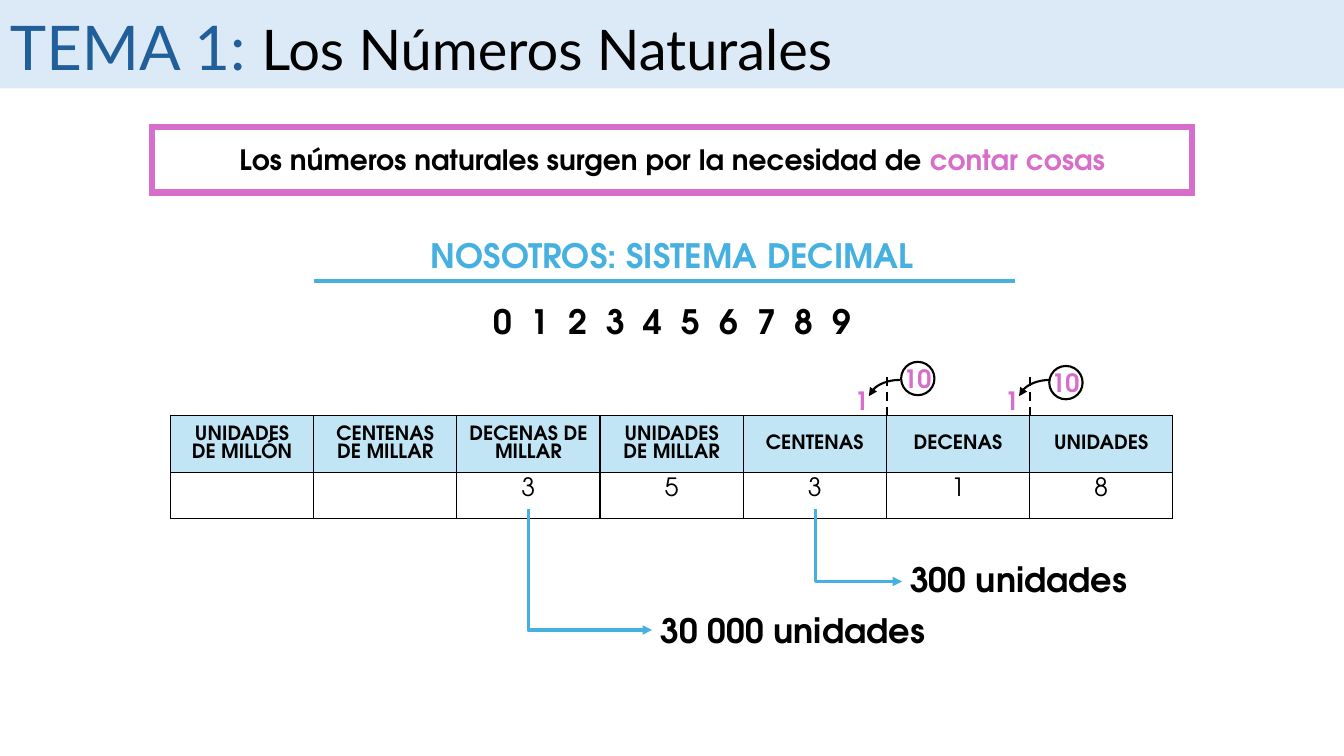
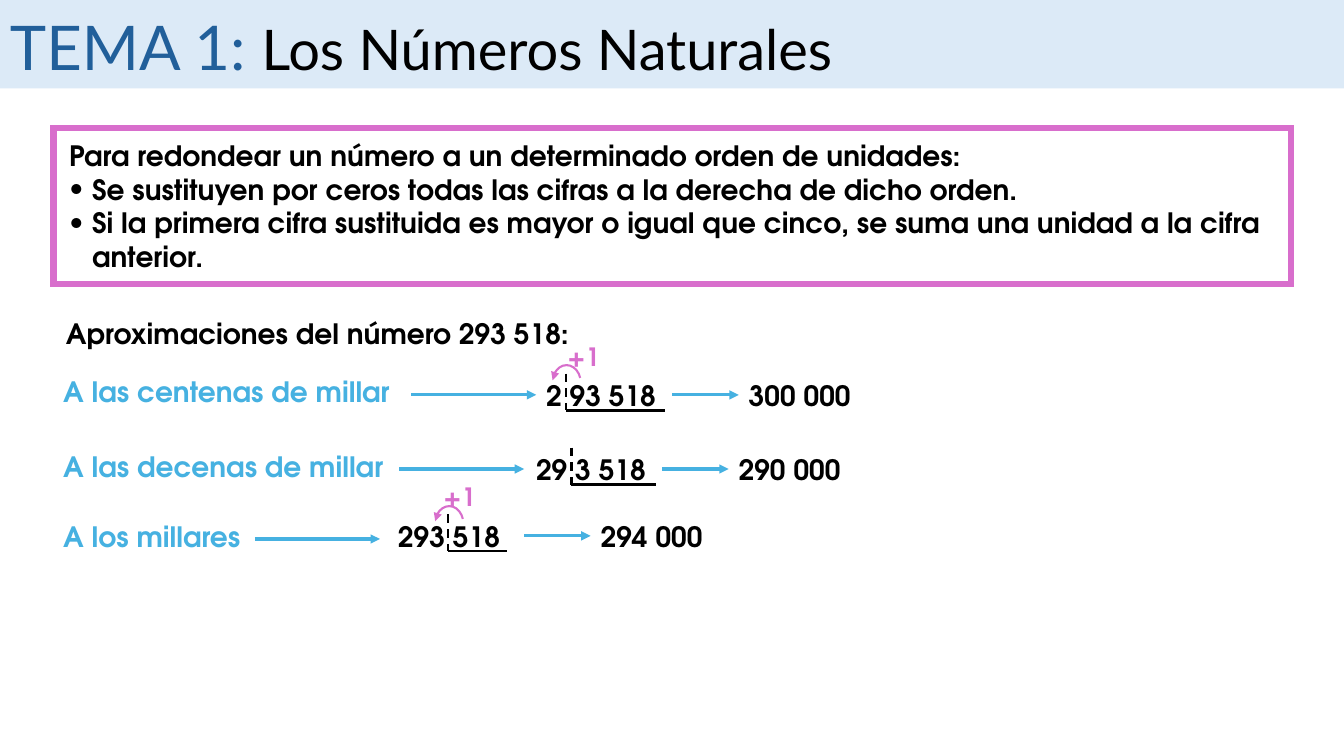
"""Build two lesson slides on natural numbers: the decimal system and rounding."""
import pptx
import pptx.dml.color
import pptx.enum.dml
import pptx.enum.shapes
import pptx.enum.text
import pptx.oxml
import pptx.oxml.ns
import pptx.util

Pt = pptx.util.Pt
RGB = pptx.dml.color.RGBColor
SHAPE = pptx.enum.shapes.MSO_SHAPE
CONNECTOR = pptx.enum.shapes.MSO_CONNECTOR
ALIGN = pptx.enum.text.PP_ALIGN
qn = pptx.oxml.ns.qn

BLACK = RGB(0x00, 0x00, 0x00)
NAVY = RGB(0x21, 0x5F, 0x9A)
BLUE = RGB(0x46, 0xB1, 0xE1)
PINK = RGB(0xD8, 0x6E, 0xCC)
BAND = RGB(0xDC, 0xEA, 0xF7)
HEADER = RGB(0xC1, 0xE5, 0xF5)
TITLE_FONT = "Lato"
BODY_FONT = "TeX Gyre Adventor"

TITLE = [("TEMA 1: ", NAVY, 44), ("Los Números Naturales", BLACK, 40)]
ORIGIN = [
    ("Los números naturales surgen por la necesidad de ", BLACK, 20),
    ("contar cosas", PINK, 20),
]
DIGITS = "0 1 2 3 4 5 6 7 8 9"
PLACES = [
    ("UNIDADES DE MILLÓN", ""),
    ("CENTENAS DE MILLAR", ""),
    ("DECENAS DE MILLAR", "3"),
    ("UNIDADES DE MILLAR", "5"),
    ("CENTENAS", "3"),
    ("DECENAS", "1"),
    ("UNIDADES", "8"),
]
TABLE_LEFT, TABLE_TOP, COLUMN_WIDTH = 121.8, 296.7, 102.3
ROW_HEIGHTS = (41, 32.4)
VALUES = [
    dict(text="30 000 unidades", box=(452.5, 432.3, 227.5, 36), start=(377.3, 363.6), end=(465.8, 450)),
    dict(text="300 unidades", box=(625.7, 395.7, 203.8, 36), start=(582.5, 363.6), end=(644.4, 415.4)),
]
EXCHANGES = [
    dict(column=5, circle=(643.7, 258.5), arc=619.9),
    dict(column=6, circle=(749.5, 261.4), arc=727.2),
]
RULES = [
    "Para redondear un número a un determinado orden de unidades:",
    "Se sustituyen por ceros todas las cifras a la derecha de dicho orden.",
    "Si la primera cifra sustituida es mayor o igual que cinco, se suma una unidad a la cifra anterior.",
]
ROUNDINGS = [
    dict(order="A las centenas de millar", order_top=263.9, number="2 93 518", result="300 000",
         left=383, top=266.8, arrow=(383, 282), split=404, end=475.2, plus=(395.3, 240.5)),
    dict(order="A las decenas de millar", order_top=317.5, number="29 3 518", result="290 000",
         left=375.8, top=319.7, arrow=(374.4, 335), split=408.2, end=468.7, plus=None),
    dict(order="A los millares", order_top=367.5, number="293 518", result="294 000",
         left=277.2, top=367.5, arrow=(271.4, 385), split=320.2, end=362.2, plus=(306.7, 340)),
]


def points(*values):
    return [Pt(value) for value in values]


def style(font, color, size, name=BODY_FONT, bold=True):
    font.name, font.size, font.bold = name, Pt(size), bold
    font.color.rgb = color


def add_box(page, at):
    box = page.shapes.add_textbox(*points(*at))
    box.text_frame.word_wrap = True
    return box.text_frame


def add_text(page, at, text, color=BLACK, size=20, align=ALIGN.LEFT):
    para = add_box(page, at).paragraphs[0]
    para.text = text
    para.alignment = align
    style(para.font, color, size)
    return para


def add_spans(page, at, spans, name, bold, align=ALIGN.LEFT):
    para = add_box(page, at).paragraphs[0]
    para.alignment = align
    for text, color, size in spans:
        span = para.add_run()
        span.text = text
        style(span.font, color, size, name, bold)


def add_shape(page, kind, at, fill=None, line=None, width=1.5):
    shape = page.shapes.add_shape(kind, *points(*at))
    shape.shadow.inherit = False
    if fill is None:
        shape.fill.background()
    else:
        shape.fill.solid()
        shape.fill.fore_color.rgb = fill
    if line is None:
        shape.line.fill.background()
    else:
        shape.line.color.rgb = line
        shape.line.width = Pt(width)
    return shape


def add_line_part(shape, tag, **attributes):
    outline = shape.element.spPr.find(qn("a:ln"))
    outline.append(outline.makeelement(qn(tag), attributes))


def add_frame(page, at):
    frame = add_shape(page, SHAPE.RECTANGLE, at, line=PINK, width=4.5)
    add_line_part(frame, "a:miter", lim="800000")


def add_line(page, start, end, color=BLACK, width=1.5, dashed=False, arrow=False, elbow=False):
    kind = CONNECTOR.ELBOW if elbow else CONNECTOR.STRAIGHT
    line = page.shapes.add_connector(kind, *points(*start, *end))
    line.line.color.rgb = color
    line.line.width = Pt(width)
    if dashed:
        line.line.dash_style = pptx.enum.dml.MSO_LINE.DASH
    if arrow:
        add_line_part(line, "a:tailEnd", type="triangle")
    properties = line.element.spPr
    if elbow:
        guides = properties.find(qn("a:prstGeom")).get_or_add_avLst()
        guides.append(guides.makeelement(qn("a:gd"), {"name": "adj1", "fmla": "val 0"}))
    properties.append(properties.makeelement(qn("a:effectLst"), {}))


def add_arc(page, at, color, finish):
    arc = add_shape(page, SHAPE.ARC, at, line=color)
    arc.adjustments[0], arc.adjustments[1] = 113.99, finish
    add_line_part(arc, "a:headEnd", type="triangle")


def add_page(deck):
    page = deck.slides.add_slide(deck.slide_layouts[6])
    add_shape(page, SHAPE.RECTANGLE, (0, 0, 960, 63.2), fill=BAND)
    add_spans(page, (0, 2.9, 829.4, 60.5), TITLE, TITLE_FONT, False)
    return page


def set_borders(cell):
    properties = cell._tc.get_or_add_tcPr()
    for side in ("lnL", "lnR", "lnT", "lnB"):
        properties.append(pptx.oxml.parse_xml(
            f'<a:{side} {pptx.oxml.ns.nsdecls("a")} w="{Pt(1)}"><a:solidFill>'
            f'<a:srgbClr val="{BLACK}"/></a:solidFill></a:{side}>'))


def add_place_table(page):
    frame = page.shapes.add_table(2, len(PLACES), *points(
        TABLE_LEFT, TABLE_TOP, COLUMN_WIDTH * len(PLACES), sum(ROW_HEIGHTS)))
    table = frame.table
    table.first_row = table.horz_banding = False
    for row, height in zip(table.rows, ROW_HEIGHTS):
        row.height = Pt(height)
    for column, texts in enumerate(PLACES):
        table.columns[column].width = Pt(COLUMN_WIDTH)
        for row, text in enumerate(texts):
            cell = table.cell(row, column)
            heading = row == 0
            set_borders(cell)
            if heading:
                cell.fill.solid()
                cell.fill.fore_color.rgb = HEADER
                cell.vertical_anchor = pptx.enum.text.MSO_ANCHOR.MIDDLE
            else:
                cell.fill.background()
            para = cell.text_frame.paragraphs[0]
            para.text = text
            para.alignment = ALIGN.CENTER
            style(para.font, BLACK, 14 if heading else 18, bold=heading)


def build_decimal_page(deck):
    page = add_page(deck)
    add_spans(page, (42.5, 97.9, 875.5, 31.7), ORIGIN, BODY_FONT, True, ALIGN.CENTER)
    add_frame(page, (108.7, 90.7, 743, 46.8))
    digits = add_text(page, (323, 211.7, 314.6, 36), DIGITS, size=24, align=ALIGN.CENTER)
    digits.runs[0]._r.get_or_add_rPr().set("spc", "340")
    add_text(page, (42.3, 164.2, 875.5, 36), "NOSOTROS: SISTEMA DECIMAL", BLUE, 24, ALIGN.CENTER)
    add_line(page, (224.2, 200.9), (725, 200.9), BLUE, 3)
    add_place_table(page)
    for value in VALUES:
        add_line(page, value["start"], value["end"], BLUE, 2.25, arrow=True, elbow=True)
        add_text(page, value["box"], value["text"], size=24, align=ALIGN.CENTER)
    for exchange in EXCHANGES:
        edge = TABLE_LEFT + COLUMN_WIDTH * exchange["column"]
        left, top = exchange["circle"]
        add_line(page, (edge, TABLE_TOP), (edge, TABLE_TOP - 31), dashed=True)
        add_shape(page, SHAPE.OVAL, (left, top, 23.8, 23.8), line=BLACK)
        add_text(page, (left - 10, top - 2.5, 43.2, 28.8), "10", PINK, 18, ALIGN.CENTER)
        add_arc(page, (exchange["arc"], 271.4, 45.4, 31), BLACK, 162.59)
        add_text(page, (exchange["arc"] - 26, 272, 43.2, 28.8), "1", PINK, 18, ALIGN.CENTER)


def add_rules(page):
    frame = add_box(page, (42.3, 95.4, 875.5, 104.4))
    for index, rule in enumerate(RULES):
        para = frame.add_paragraph() if index else frame.paragraphs[0]
        para.text = rule
        if index:
            properties = para._p.get_or_add_pPr()
            properties.set("marL", str(Pt(16.4)))
            properties.set("indent", str(-Pt(16.4)))
            properties.append(properties.makeelement(qn("a:buFont"), {"typeface": BODY_FONT}))
            properties.append(properties.makeelement(qn("a:buChar"), {"char": "•"}))
        style(para.font, BLACK, 20)


def add_rounding(page, rounding):
    left, top, split = rounding["left"], rounding["top"], rounding["split"]
    tip, height = rounding["arrow"]
    base, middle = top + 26.4, top + 15.3
    add_text(page, (38, rounding["order_top"], 408.2, 31.7), rounding["order"], BLUE)
    add_line(page, (tip - 89.3, height), (tip, height), BLUE, 2.25, arrow=True)
    add_text(page, (left, top, 97.2, 31.7), rounding["number"])
    add_line(page, (split, top), (split, base), dashed=True)
    add_line(page, (split, base), (rounding["end"], base))
    add_line(page, (left + 97.2, middle), (left + 144.7, middle), BLUE, 2.25, arrow=True)
    add_text(page, (left + 144.7, top, 97.2, 31.7), rounding["result"])
    if rounding["plus"]:
        add_arc(page, (split - 9.4, top - 6, 20.2, 25.2), PINK, 204.29)
        add_text(page, (*rounding["plus"], 43.2, 28.8), "+1", PINK, 18, ALIGN.CENTER)


def build_rounding_page(deck):
    page = add_page(deck)
    add_rules(page)
    add_frame(page, (38.2, 91.4, 884.2, 111.6))
    add_text(page, (40, 222.5, 383, 31.7), "Aproximaciones del número 293 518:")
    for rounding in ROUNDINGS:
        add_rounding(page, rounding)


def main():
    deck = pptx.Presentation()
    deck.slide_width, deck.slide_height = points(960, 540)
    build_decimal_page(deck)
    build_rounding_page(deck)
    deck.save("out.pptx")


if __name__ == "__main__":
    main()
